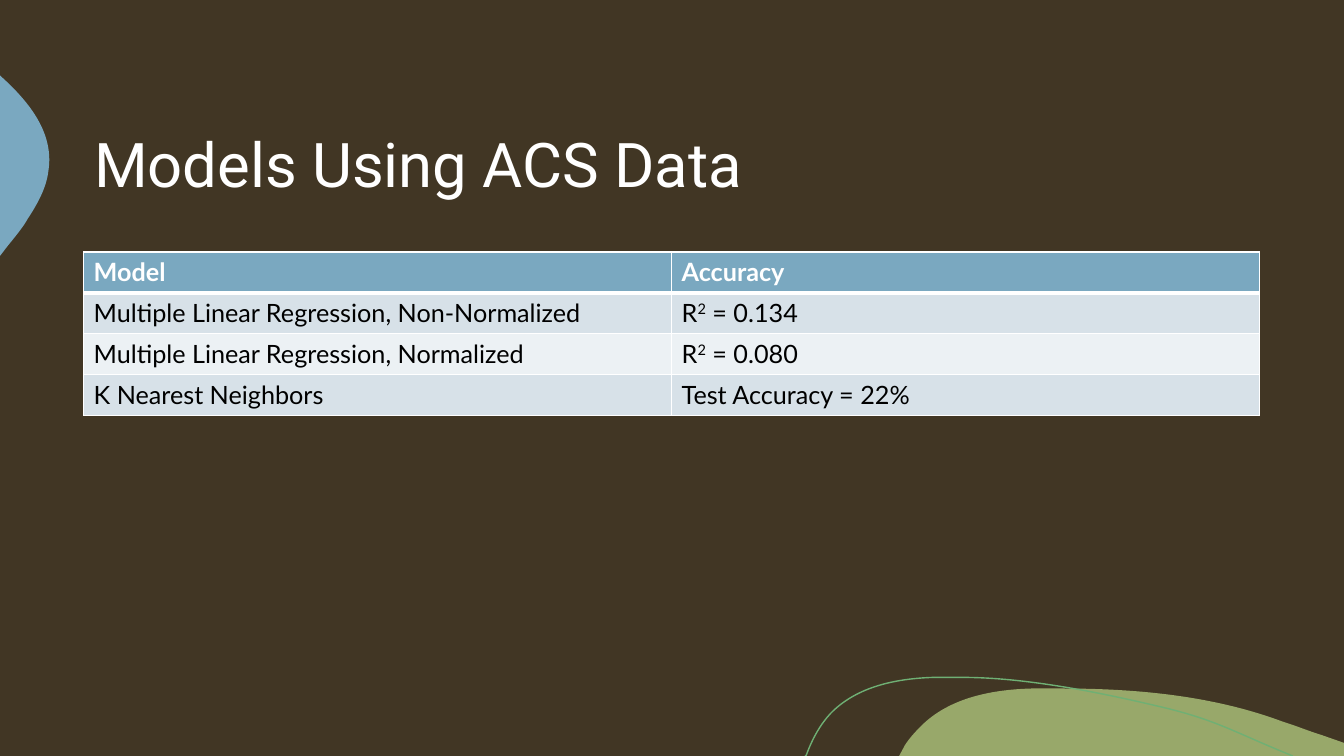
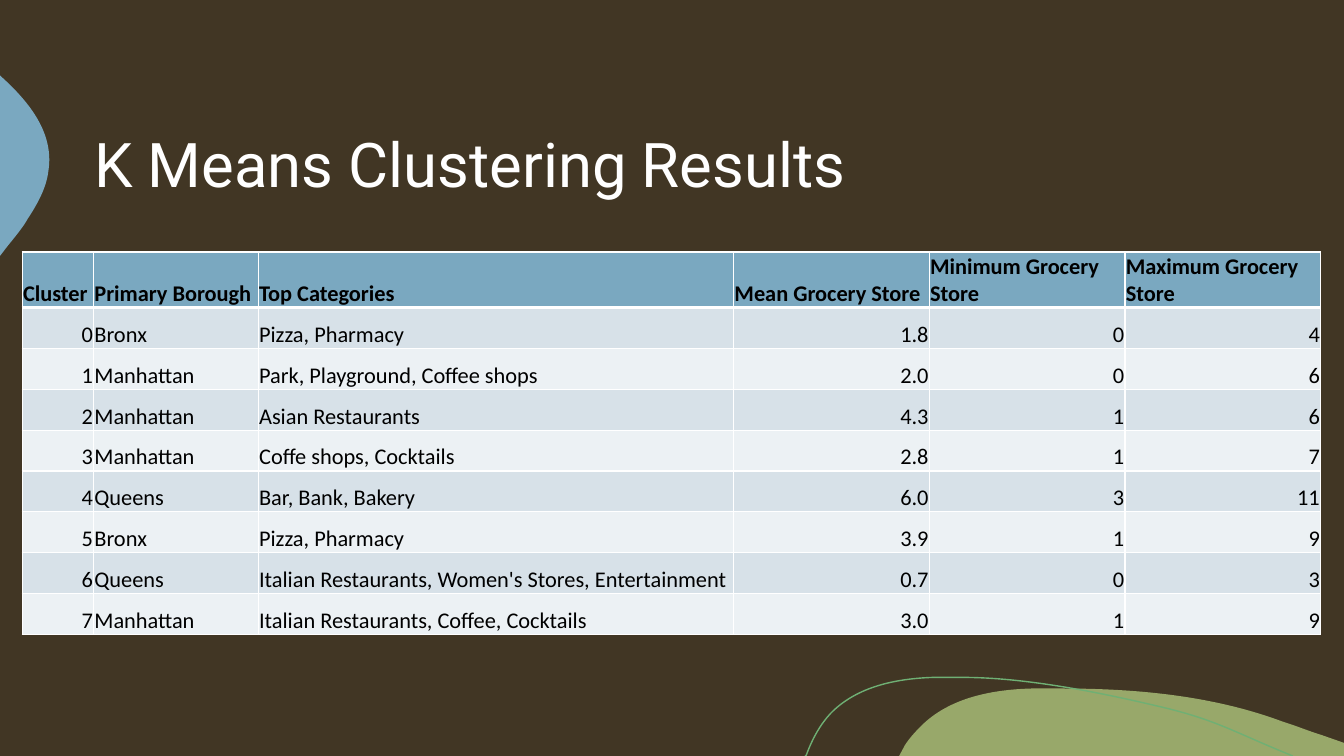
from dataclasses import dataclass

from lxml.etree import SubElement
from pptx import Presentation
from pptx.dml.color import RGBColor
from pptx.enum.text import MSO_ANCHOR, PP_ALIGN
from pptx.oxml.ns import qn
from pptx.util import Cm, Pt


@dataclass(frozen=True)
class Theme:
    background: str = "413624"
    blue: str = "7AA8C0"
    green: str = "98A86A"
    outline: str = "6FB074"
    white: str = "FFFFFF"
    black: str = "000000"
    bands: tuple = ("D7E1E8", "ECF1F4")
    title_font: str = "Roboto"
    title_size: int = 44
    border: int = 1
    header_border: int = 3


@dataclass(frozen=True)
class TableStyle:
    font: str
    size: int
    header_color: str
    anchor: MSO_ANCHOR
    margins: tuple  # left, top, right, bottom in cm
    header_height: float
    row_height: float = 1.03


THEME = Theme()
ROOMY = TableStyle("Lato", 18, THEME.white, MSO_ANCHOR.TOP,
                   (0.25, 0.12, 0.25, 0.12), 1.03)
COMPACT = TableStyle("Calibri", 16, THEME.black, MSO_ANCHOR.BOTTOM,
                     (0.02, 0.02, 0.02, 0), 1.4)

SLIDE_W, SLIDE_H = 33.87, 19.05
TITLE_BOX = (2.12, 2.12, 29.63, 4.23)
TABLE_TOP = 6.35

# Outlines in cm from their own corner: one point is a line, three are a curve.
HILL = [(4.11, 0),
        [(5.99, 0), (7.92, 0.18), (9.68, 0.84)],
        [(10.01, 0.94), (10.31, 1.07), (10.64, 1.17)],
        [(11.21, 1.37)], [(11.21, 1.7)], [(0, 1.7)], [(0.15, 1.42)],
        [(0.25, 1.27), (0.36, 1.14), (0.48, 1.02)],
        [(1.19, 0.25), (2.29, 0.03), (3.33, 0)]]
LEAF = [(0, 0), [(0.03, 0.03)],
        [(0.76, 0.69), (1.37, 1.47), (1.22, 2.41)],
        [(1.17, 2.84), (0.94, 3.25), (0.69, 3.63)],
        [(0.61, 3.78), (0.43, 4.01), (0.2, 4.29)],
        [(0, 4.55)]]
RIDGE = [(0, 1.98), [(0.03, 1.96)],
         [(0.18, 1.55), (0.38, 1.19), (0.64, 0.91)],
         [(1.3, 0.23), (2.29, 0.03), (3.23, 0)],
         [(3.96, 0)],
         [(5.66, 0), (7.65, 0.43), (9.04, 0.76)],
         [(10.41, 1.09), (10.85, 1.4), (12.29, 1.98)]]

MODELS = [
    ("Model", "Accuracy"),
    ("Multiple Linear Regression, Non-Normalized", "R^2^ = 0.134"),
    ("Multiple Linear Regression, Normalized", "R^2^ = 0.080"),
    ("K Nearest Neighbors", "Test Accuracy = 22%"),
]
CLUSTERS = [
    ("Cluster", "Primary Borough", "Top Categories", "Mean Grocery Store",
     "Minimum Grocery Store", "Maximum Grocery Store"),
    ("0", "Bronx", "Pizza, Pharmacy", "1.8", "0", "4"),
    ("1", "Manhattan", "Park, Playground, Coffee shops", "2.0", "0", "6"),
    ("2", "Manhattan", "Asian Restaurants", "4.3", "1", "6"),
    ("3", "Manhattan", "Coffe shops, Cocktails", "2.8", "1", "7"),
    ("4", "Queens", "Bar, Bank, Bakery", "6.0", "3", "11"),
    ("5", "Bronx", "Pizza, Pharmacy", "3.9", "1", "9"),
    ("6", "Queens", "Italian Restaurants, Women's Stores, Entertainment",
     "0.7", "0", "3"),
    ("7", "Manhattan", "Italian Restaurants, Coffee, Cocktails",
     "3.0", "1", "9"),
]


def rgb(color):
    return RGBColor.from_string(color)


def bend_segments(sp, segments):
    """Join the three lines of each curved segment into one Bezier curve."""
    lines = iter(list(sp._element.iter(qn("a:lnTo"))))
    for segment in segments:
        first, *rest = [next(lines) for _ in segment]
        if rest:
            first.tag = qn("a:cubicBezTo")
        for line in rest:
            first.append(line[0])
            line.getparent().remove(line)


def add_outline(s, left, top, outline, fill=None, line=None):
    start, *segments = outline
    points = [(Cm(x), Cm(y)) for segment in segments for x, y in segment]
    builder = s.shapes.build_freeform(*map(Cm, start))
    builder.add_line_segments(points, close=fill is not None)
    sp = builder.convert_to_shape(Cm(left), Cm(top))
    bend_segments(sp, segments)
    sp.shadow.inherit = False
    if fill:
        sp.fill.solid()
        sp.fill.fore_color.rgb = rgb(fill)
    else:
        sp.fill.background()
    if line:
        sp.line.color.rgb = rgb(line)
        sp.line.width = Pt(THEME.border)
    else:
        sp.line.fill.background()


def add_title(s, text, box):
    tf = s.shapes.add_textbox(*map(Cm, box)).text_frame
    tf.word_wrap = True
    tf.vertical_anchor = MSO_ANCHOR.MIDDLE
    p = tf.paragraphs[0]
    p.text = text
    p.line_spacing = 0.9
    p.font.name = THEME.title_font
    p.font.size = Pt(THEME.title_size)
    p.font.color.rgb = rgb(THEME.white)


def set_borders(cell, **widths):
    """Draw white borders; widths in points by side: L, R, T, B."""
    tcPr = cell._tc.get_or_add_tcPr()
    for i, (side, width) in enumerate(widths.items()):
        ln = SubElement(tcPr, qn(f"a:ln{side}"), w=str(Pt(width)))
        fill = SubElement(ln, qn("a:solidFill"))
        SubElement(fill, qn("a:srgbClr"), val=THEME.white)
        tcPr.insert(i, ln)


def add_runs(p, text):
    """Write text, raising what stands between carets."""
    for i, part in enumerate(text.split("^")):
        r = p.add_run()
        r.text = part
        if i % 2:
            r.font._element.set("baseline", "30000")


def fill_cell(cell, text, row, style):
    header = row == 0
    cell.fill.solid()
    cell.fill.fore_color.rgb = rgb(THEME.blue if header else THEME.bands[(row - 1) % 2])
    cell.vertical_anchor = style.anchor
    (cell.margin_left, cell.margin_top,
     cell.margin_right, cell.margin_bottom) = map(Cm, style.margins)
    set_borders(cell, L=THEME.border, R=THEME.border,
                T=THEME.header_border if row == 1 else THEME.border,
                B=THEME.header_border if header else THEME.border)
    p = cell.text_frame.paragraphs[0]
    add_runs(p, text)
    is_number = text.replace(".", "").isdigit()
    p.alignment = PP_ALIGN.RIGHT if is_number else PP_ALIGN.LEFT
    p.font.name = style.font
    p.font.size = Pt(style.size)
    p.font.bold = header
    p.font.color.rgb = rgb(style.header_color if header else THEME.black)


def add_data_table(s, rows, left, top, widths, style):
    heights = [style.header_height] + [style.row_height] * (len(rows) - 1)
    table = s.shapes.add_table(len(rows), len(widths), Cm(left), Cm(top),
                               Cm(sum(widths)), Cm(sum(heights))).table
    for column, width in zip(table.columns, widths):
        column.width = Cm(width)
    for i, (row, height) in enumerate(zip(rows, heights)):
        table.rows[i].height = Cm(height)
        for j, text in enumerate(row):
            fill_cell(table.cell(i, j), text, i, style)


def add_table_slide(prs, title, rows, left, widths, style):
    s = prs.slides.add_slide(prs.slide_layouts[6])
    add_outline(s, 22.66, 17.35, HILL, fill=THEME.green)
    add_outline(s, 0, 1.9, LEAF, fill=THEME.blue)
    add_outline(s, 20.29, 17.07, RIDGE, line=THEME.outline)
    add_title(s, title, TITLE_BOX)
    add_data_table(s, rows, left, TABLE_TOP, widths, style)


def main():
    prs = Presentation()
    prs.slide_width, prs.slide_height = Cm(SLIDE_W), Cm(SLIDE_H)
    background = prs.slide_master.background.fill
    background.solid()
    background.fore_color.rgb = rgb(THEME.background)
    add_table_slide(prs, "Models Using ACS Data", MODELS,
                    2.11, [14.82] * 2, ROOMY)
    add_table_slide(prs, "K Means Clustering Results", CLUSTERS,
                    0.56, [1.8, 4.15, 11.98] + [4.93] * 3, COMPACT)
    prs.save("out.pptx")


if __name__ == "__main__":
    main()
